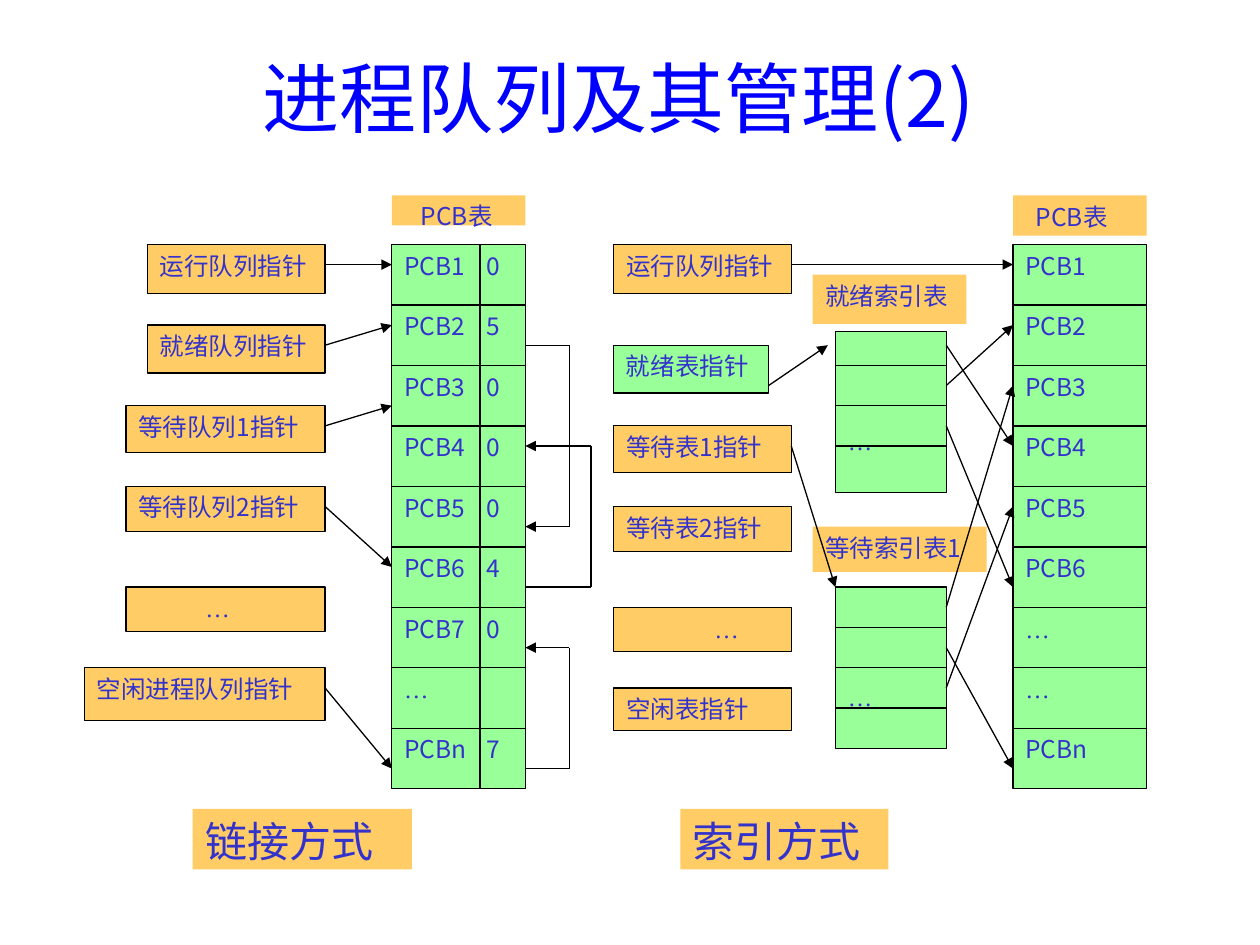
from itertools import pairwise

from pptx import Presentation
from pptx import util as u
from pptx.dml.color import RGBColor
from pptx.enum import shapes, text
from pptx.oxml import parse_xml
from pptx.oxml.ns import nsdecls, qn

SANS, SERIF = "Noto Sans CJK JP", "Times New Roman"
ORANGE, GREEN, INK, BLACK, BLUE = "FFCC66", "99FF99", "3333CC", "000000", "0000FF"
TITLE = "进程队列及其管理(2)"

TOP, STEP = 1.94, 0.16
CELL_ROWS, INDEX_ROWS = 3, 2
PCB_WIDTH, INDEX_WIDTH = 1.06, 0.88
COLUMNS = {
    "queue edge": 2.58, "linked": 3.11, "divider": 3.81, "linked edge": 4.17,
    "near bend": 4.52, "far bend": 4.69, "pointer": 4.87, "ready edge": 6.1,
    "pointer edge": 6.28, "label": 6.45, "arrival": 6.57, "index": 6.63,
    "index edge": 7.51, "indexed": 8.04,
}

LINKED_PCBS = [("PCB1", "0"), ("PCB2", "5"), ("PCB3", "0"), ("PCB4", "0"), ("PCB5", "0"),
               ("PCB6", "4"), ("PCB7", "0"), ("…", ""), ("PCBn", "7")]
INDEXED_PCBS = ["PCB1", "PCB2", "PCB3", "PCB4", "PCB5", "PCB6", "…", "…", "PCBn"]

QUEUE_POINTERS = [
    ("运行队列指针", 0, 1.41, 0.39, {}),
    ("就绪队列指针", 4, 1.41, 0.38, {}),
    ("等待队列1指针", 8, 1.58, 0.37, {}),
    ("等待队列2指针", 12, 1.58, 0.36, {}),
    ("…", 17, 1.58, 0.35, {"margin_left": 0.63}),
    ("空闲进程队列指针", 21, 1.91, 0.42, {}),
]
TABLE_POINTERS = [
    ("运行队列指针", 0, 1.41, 0.39, {}),
    ("就绪表指针", 5, 1.23, 0.38, {"fill": GREEN}),
    ("等待表1指针", 9, 1.41, 0.37, {}),
    ("等待表2指针", 13, 1.41, 0.36, {}),
    ("…", 18, 1.41, 0.35, {"margin_left": 0.8}),
    ("空闲表指针", 22, 1.41, 0.34, {}),
]
LABELS = [
    ("PCB表", 3.11, 1.55, PCB_WIDTH, 0.24, {"margin_left": 0.23}),
    ("PCB表", 8.04, 1.55, PCB_WIDTH, 0.32, {"margin_left": 0.18}),
    ("就绪索引表", 6.45, 2.18, 1.22, 0.39, {}),
    ("等待索引表1", 6.45, 4.18, 1.38, 0.36, {}),
    ("链接方式", 1.53, 6.42, 1.74, 0.48, {"size": 24}),
    ("索引方式", 5.4, 6.42, 1.65, 0.48, {"size": 24}),
]
INDEX_TABLES = [(2.63, 6), (4.66, 19)]

ARROWS = [
    [("queue edge", 1), ("linked", 1)],
    [("queue edge", 5), ("linked", 4)],
    [("queue edge", 9), ("linked", 8)],
    [("queue edge", 13), ("linked", 16)],
    [("queue edge", 22), ("linked", 26)],
    [("linked edge", 5), ("near bend", 5), ("near bend", 14), ("linked edge", 14)],
    [("linked edge", 17), ("far bend", 17), ("far bend", 10), ("linked edge", 10)],
    [("linked edge", 26), ("near bend", 26), ("near bend", 20), ("linked edge", 20)],
    [("pointer edge", 1), ("indexed", 1)],
    [("ready edge", 7), ("arrival", 5)],
    [("pointer edge", 10), ("index", 17)],
    [("index edge", 5), ("indexed", 10)],
    [("index edge", 7), ("indexed", 4)],
    [("index edge", 9), ("indexed", 17)],
    [("index edge", 18), ("indexed", 7)],
    [("index edge", 20), ("indexed", 26)],
    [("index edge", 22), ("indexed", 13)],
]


def color(value):
    return RGBColor.from_string(value)


def row_top(row):
    return TOP + row * STEP


def write(frame, words, size, ink, alignment, **margins):
    settings = {"word_wrap": True, "margin_right": 0}
    settings.update({name: u.Inches(value) for name, value in margins.items()})
    for name, value in settings.items():
        setattr(frame, name, value)
    paragraph = frame.paragraphs[0]
    paragraph.alignment = alignment
    run = paragraph.add_run()
    run.text = words
    face = SERIF if words.startswith("…") else SANS
    for name, value in {"size": u.Pt(size), "name": face, "bold": False}.items():
        setattr(run.font, name, value)
    run.font.color.rgb = color(ink)
    if face == SANS:
        run.font._element.append(parse_xml(f'<a:ea {nsdecls("a")} typeface="{SANS}"/>'))
    return paragraph


def add_box(slide, words, left, top, width, height, fill=ORANGE, outlined=True, size=14, **margins):
    box = slide.shapes.add_shape(shapes.MSO_SHAPE.RECTANGLE, *map(u.Inches, (left, top, width, height)))
    box.shadow.inherit = False
    box.fill.solid()
    box.fill.fore_color.rgb = color(fill)
    if outlined:
        box.line.color.rgb = color(BLACK)
        box.line.width = u.Pt(0.75)
    else:
        box.line.fill.background()
    box.text_frame.vertical_anchor = text.MSO_ANCHOR.TOP
    return write(box.text_frame, words, size, INK, text.PP_ALIGN.JUSTIFY, **margins)


def add_line(slide, start, end, arrow=False):
    line = slide.shapes.add_connector(shapes.MSO_CONNECTOR.STRAIGHT, *map(u.Inches, (*start, *end)))
    line.line.color.rgb = color(BLACK)
    line.line.width = u.Pt(0.75)
    if arrow:
        line.line._get_or_add_ln().append(parse_xml(f'<a:tailEnd {nsdecls("a")} type="triangle"/>'))
    line._element.find(qn("p:spPr")).append(parse_xml(f'<a:effectLst {nsdecls("a")}/>'))


def add_title(slide):
    box = slide.shapes.add_textbox(*map(u.Inches, (0.51, 0.14, 8.5, 1.25)))
    box.text_frame.vertical_anchor = text.MSO_ANCHOR.MIDDLE
    write(box.text_frame, TITLE, 44, BLUE, text.PP_ALIGN.CENTER, margin_left=0.3)


def add_pcb_tables(slide):
    height = CELL_ROWS * STEP
    for index, (name, link) in enumerate(LINKED_PCBS):
        top = row_top(index * CELL_ROWS)
        words = f"{name}\t{link}" if link else name
        paragraph = add_box(slide, words, COLUMNS["linked"], top, PCB_WIDTH, height, GREEN)
        if link:
            paragraph._p.get_or_add_pPr().append(parse_xml(
                f'<a:tabLst {nsdecls("a")}><a:tab pos="{u.Inches(0.65)}" algn="l"/></a:tabLst>'))
        add_line(slide, (COLUMNS["divider"], top), (COLUMNS["divider"], top + height))
    for index, name in enumerate(INDEXED_PCBS):
        add_box(slide, name, COLUMNS["indexed"], row_top(index * CELL_ROWS), PCB_WIDTH, height, GREEN)


def add_index_tables(slide):
    for top, first_rule in INDEX_TABLES:
        add_box(slide, "…", COLUMNS["index"], top, INDEX_WIDTH, 1.28, GREEN, margin_top=0.75)
        for number in range(3):
            level = row_top(first_rule + number * INDEX_ROWS)
            add_line(slide, (COLUMNS["index"], level), (COLUMNS["index edge"], level))


def main():
    presentation = Presentation()
    presentation.slide_width, presentation.slide_height = u.Inches(10), u.Inches(7.5)
    slide = presentation.slides.add_slide(presentation.slide_layouts[6])
    add_title(slide)
    add_pcb_tables(slide)
    for words, row, width, height, options in QUEUE_POINTERS:
        add_box(slide, words, COLUMNS["queue edge"] - width, row_top(row), width, height, **options)
    for words, row, width, height, options in TABLE_POINTERS:
        add_box(slide, words, COLUMNS["pointer"], row_top(row), width, height, **options)
    add_index_tables(slide)
    for words, left, top, width, height, options in LABELS:
        add_box(slide, words, left, top, width, height, outlined=False, **options)
    for route in ARROWS:
        points = [(COLUMNS[column], row_top(row)) for column, row in route]
        for start, end in pairwise(points):
            add_line(slide, start, end, arrow=end == points[-1])
    presentation.save("out.pptx")


if __name__ == "__main__":
    main()
